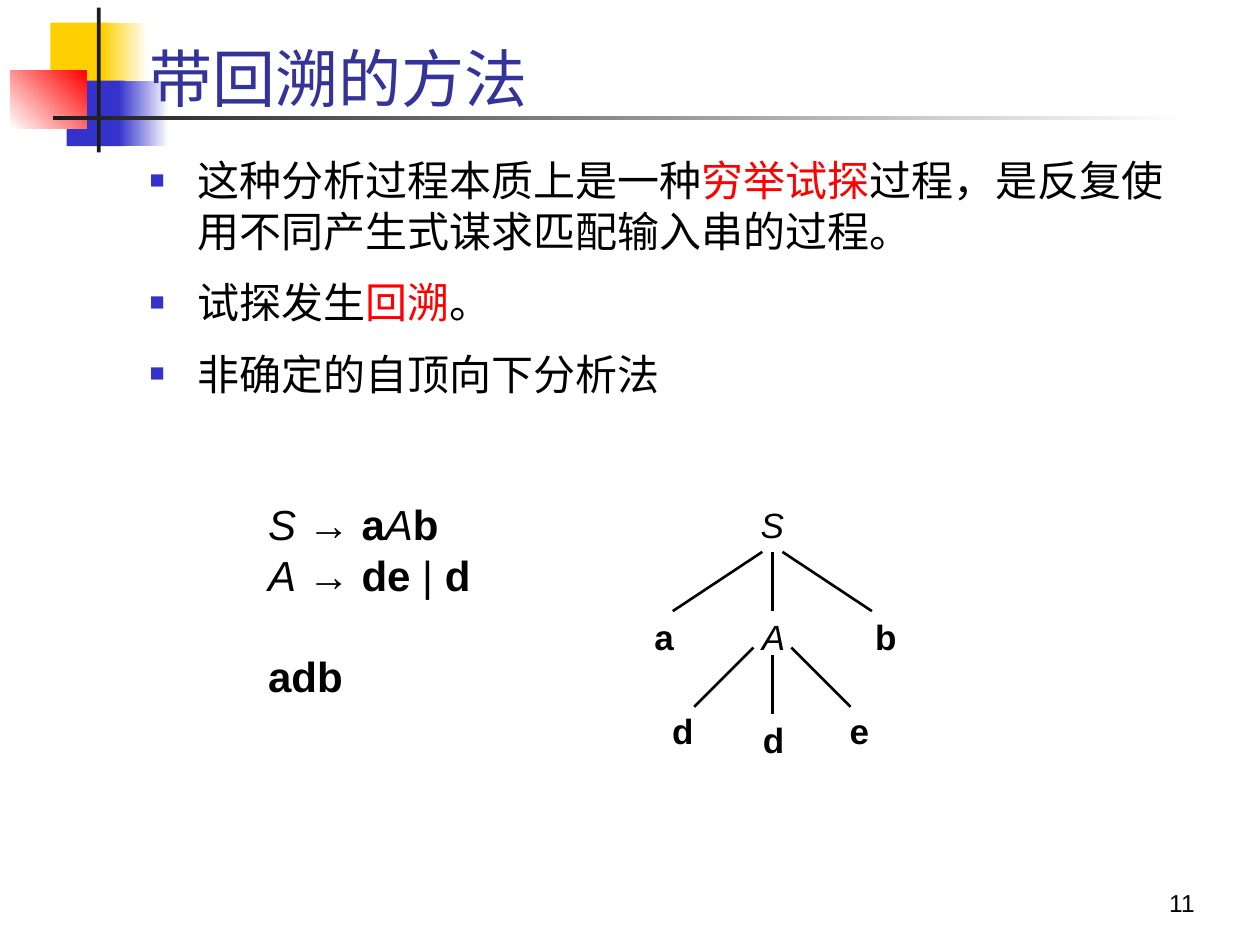
from lxml import etree
from pptx import Presentation
from pptx.dml.color import RGBColor
from pptx.enum.shapes import MSO_CONNECTOR, MSO_SHAPE
from pptx.enum.text import MSO_ANCHOR as Anchor, PP_ALIGN as Align
from pptx.oxml.ns import qn
from pptx.util import Inches, Pt

COLORS = {
    "yellow": "FFCF01", "blue": "3333CC", "red": "FF0000", "dark": "1C1C1C",
    "white": "FFFFFF", "title": "333399", "black": "000000",
}
FONT = "Arial"


def rgb(name):
    return RGBColor.from_string(COLORS[name])


def add_run(paragraph, text, size, color="black", style=""):
    run = paragraph.add_run()
    run.text = text
    font = run.font
    font.name, font.size = FONT, Pt(size)
    font.color.rgb = rgb(color)
    font.bold, font.italic = style == "bold", style == "italic"
    properties = run._r.get_or_add_rPr()
    etree.SubElement(properties, qn("a:ea")).set("typeface", FONT)


def add_text_frame(slide, box, anchor=Anchor.TOP):
    frame = slide.shapes.add_textbox(*map(Inches, box)).text_frame
    frame.word_wrap = True
    frame.vertical_anchor = anchor
    return frame


def add_paragraphs(frame, count):
    return [frame.paragraphs[0]] + [frame.add_paragraph() for _ in range(count - 1)]


def add_block(slide, box, start, end=None, angle=0):
    block = slide.shapes.add_shape(MSO_SHAPE.RECTANGLE, *map(Inches, box))
    block.shadow.inherit = False
    block.line.fill.background()
    if end is None:
        block.fill.solid()
        block.fill.fore_color.rgb = rgb(start)
        return
    block.fill.gradient()
    block.fill.gradient_angle = angle
    for stop, color in zip(block.fill.gradient_stops, (start, end)):
        stop.color.rgb = rgb(color)


def add_ornament(slide, left, top):
    blocks = [
        ((0.32, 0.12, 0.48, 0.52), "yellow"),
        ((0.73, 0.12, 0.36, 0.52), "yellow", "white"),
        ((0.45, 0.58, 0.46, 0.52), "blue"),
        ((0.86, 0.58, 0.4, 0.52), "blue", "white"),
        ((0, 0.5, 0.61, 0.46), "white", "red", 45),
        ((0.69, 0, 0.03, 1.15), "dark"),
        ((0.34, 0.86, 9, 0.03), "dark", "white"),
    ]
    for (x, y, width, height), *fill in blocks:
        add_block(slide, (left + x, top + y, width, height), *fill)


def add_title(slide, box, text):
    title = slide.shapes.title
    title.left, title.top, title.width, title.height = map(Inches, box)
    title.text_frame.vertical_anchor = Anchor.BOTTOM
    paragraph = title.text_frame.paragraphs[0]
    paragraph.alignment = Align.LEFT
    paragraph.line_spacing = 0.85
    add_run(paragraph, text, 36, "title")
    slide.shapes._spTree.append(title._element)


def set_bullet(paragraph, indent):
    properties = paragraph._p.get_or_add_pPr()
    properties.set("marL", str(Inches(indent)))
    properties.set("indent", str(-Inches(indent)))
    color = etree.SubElement(properties, qn("a:buClr"))
    etree.SubElement(color, qn("a:srgbClr")).set("val", COLORS["blue"])
    etree.SubElement(properties, qn("a:buSzPct")).set("val", "60000")
    etree.SubElement(properties, qn("a:buFont")).set("typeface", FONT)
    etree.SubElement(properties, qn("a:buChar")).set("char", "■")


def add_bullets(slide, box, items):
    frame = add_text_frame(slide, box)
    for paragraph, runs in zip(add_paragraphs(frame, len(items)), items):
        paragraph.space_before = Pt(12)
        set_bullet(paragraph, 0.38)
        for text, color in runs:
            add_run(paragraph, text, 24, color)


def add_grammar(slide, box, lines):
    frame = add_text_frame(slide, box)
    paragraphs = add_paragraphs(frame, len(lines))
    for paragraph, runs in zip(paragraphs, lines):
        for text, style in runs:
            add_run(paragraph, text, 24, style=style)
    paragraphs[-1].space_before = Pt(29)


def add_branch(slide, start, end):
    branch = slide.shapes.add_connector(
        MSO_CONNECTOR.STRAIGHT, *map(Inches, (*start, *end)))
    branch.line.color.rgb = rgb("black")
    branch.line.width = Pt(1.5)
    etree.SubElement(branch._element.spPr, qn("a:effectLst"))


def add_tree(slide, left, top):
    nodes = [
        ("S", 1.33, 0, "italic"),
        ("a", 0.47, 0.89, "bold"), ("A", 1.34, 0.89, "italic"), ("b", 2.23, 0.89, "bold"),
        ("d", 0.62, 1.64, "bold"), ("d", 1.34, 1.71, "bold"), ("e", 2.02, 1.64, "bold"),
    ]
    width, height = 0.94, 0.37
    for text, center, y, style in nodes:
        box = (left + center - width / 2, top + y, width, height)
        paragraph = add_text_frame(slide, box).paragraphs[0]
        paragraph.alignment = Align.CENTER
        paragraph.line_spacing = 0.8
        add_run(paragraph, text, 20, style=style)

    middle = left + 1.33
    fans = [(0.37, 0.37, 0.08, 0.79), (1.13, 1.19, 0.15, 0.62)]
    for side_y, stem_y, near, far in fans:
        for side, y in ((-1, side_y), (0, stem_y), (1, side_y)):
            add_branch(slide, (middle + side * near, top + y),
                       (middle + side * far, top + y + 0.47))


def add_page_number(slide, box, number):
    paragraph = add_text_frame(slide, box, Anchor.BOTTOM).paragraphs[0]
    paragraph.alignment = Align.RIGHT
    add_run(paragraph, number, 14)


BULLETS = [
    [("这种分析过程本质上是一种", "black"), ("穷举试探", "red"),
     ("过程,是反复使用不同产生式谋求匹配输入串的过程。".replace(",", "\uff0c"), "black")],
    [("试探发生", "black"), ("回溯", "red"), ("。", "black")],
    [("非确定的自顶向下分析法", "black")],
]
GRAMMAR = [
    [("S", "italic"), (" → ", ""), ("a", "bold"), ("A", "italic"), ("b", "bold")],
    [("A", "italic"), (" → ", ""), ("de", "bold"), (" | ", ""), ("d", "bold")],
    [("adb", "bold")],
]

presentation = Presentation()
presentation.slide_width, presentation.slide_height = Inches(10), Inches(7.5)
slide = presentation.slides.add_slide(presentation.slide_layouts[5])
add_ornament(slide, 0.08, 0.06)
add_title(slide, (1.09, 0.21, 8.52, 0.76), "带回溯的方法")
add_bullets(slide, (1.09, 1.18, 8.5, 5.64), BULLETS)
add_grammar(slide, (2.03, 3.91, 1.88, 1.72), GRAMMAR)
add_tree(slide, 4.8, 4.01)
add_page_number(slide, (7.5, 6.83, 2.08, 0.5), "11")
presentation.save("out.pptx")
